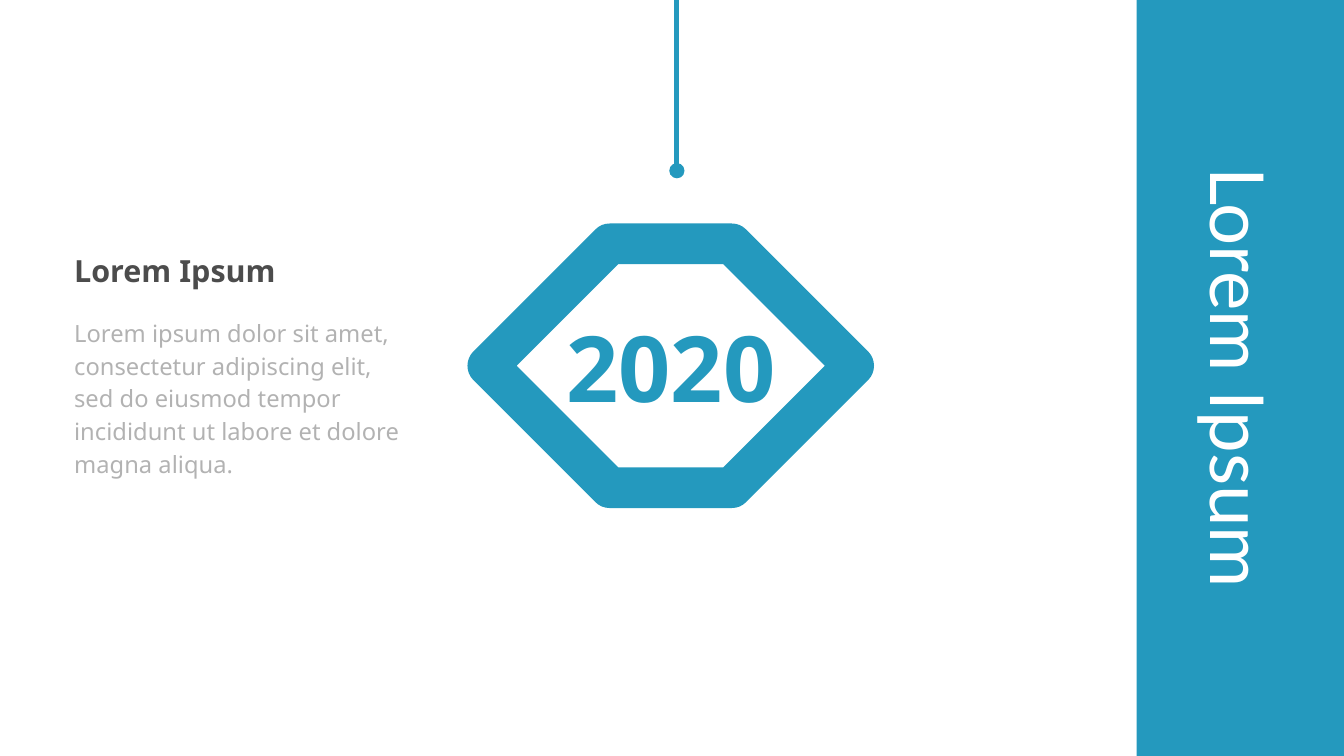
from lxml import etree
from pptx import Presentation
from pptx import util as u
from pptx.dml.color import RGBColor
from pptx.enum import shapes, text
from pptx.oxml import ns

TEAL = RGBColor(0x24, 0x99, 0xBE)
DARK = RGBColor(0x4C, 0x4C, 0x4C)
BLACK = RGBColor(0, 0, 0)
WHITE = RGBColor(0xFF, 0xFF, 0xFF)

deck = Presentation()
deck.slide_width, deck.slide_height = u.Inches(11.02), u.Inches(6.2)
W, H = deck.slide_width, deck.slide_height
slide = deck.slides.add_slide(deck.slide_layouts[5])
middle = H / u.Inches(1) / 2


def write(frame, words, size, color, font="Noto Sans", bold=False,
          align=text.PP_ALIGN.LEFT, anchor=text.MSO_ANCHOR.MIDDLE, wrap=True):
    """Fill a text frame with one formatted paragraph and return it."""
    frame.text = words
    frame.word_wrap = wrap
    frame.auto_size = text.MSO_AUTO_SIZE.NONE
    frame.vertical_anchor = anchor
    paragraph = frame.paragraphs[0]
    paragraph.alignment = align
    paragraph.font.name, paragraph.font.size = font, u.Pt(size)
    paragraph.font.bold = bold
    paragraph.font.color.rgb = color
    return paragraph


# Side panel with the title turned along it
panel_left = u.Inches(9.32)
panel = slide.shapes.add_shape(shapes.MSO_SHAPE.RECTANGLE, panel_left, 0, W - panel_left, H)
panel.shadow.inherit = False
panel.fill.solid()
panel.fill.fore_color.rgb = TEAL
panel.line.fill.background()

title = slide.shapes.title
title._element.addprevious(panel._element)
title.width, title.height = H, u.Inches(1.03)
title.left = int((panel_left + W - title.width) / 2)
title.top = int((H - title.height) / 2)
title.rotation = 90
title_frame = title.text_frame
title_frame.margin_left = title_frame.margin_right = 0
title_frame.margin_top = title_frame.margin_bottom = 0
write(title_frame, "Lorem Ipsum", 44, WHITE, font="Lato", align=text.PP_ALIGN.CENTER)

# Hexagon around the year
center, half_width, half_side, half_height = 5.55, 1.58, 0.8, 1.39
corners = [(-half_side, -half_height), (half_side, -half_height), (half_width, 0),
           (half_side, half_height), (-half_side, half_height), (-half_width, 0)]
points = [(center + x, middle + y) for x, y in corners]
outline = slide.shapes.build_freeform(*points[0], scale=u.Inches(1))
outline.add_line_segments(points[1:], close=True)
hexagon = outline.convert_to_shape()
hexagon.shadow.inherit = False
hexagon.fill.background()
hexagon.line.color.rgb = TEAL
hexagon.line.width = u.Pt(24)
etree.SubElement(hexagon.line._get_or_add_ln(), ns.qn("a:round"))
write(hexagon.text_frame, "2020", 54, TEAL, bold=True,
      align=text.PP_ALIGN.CENTER, wrap=False)

# Heading and description
text_left, text_width = u.Inches(0.51), u.Inches(3)
heading = slide.shapes.add_textbox(text_left, u.Inches(1.97), text_width, u.Inches(0.5))
write(heading.text_frame, "Lorem Ipsum", 18, DARK, bold=True)

description = slide.shapes.add_textbox(text_left, u.Inches(2.53), text_width, u.Inches(1.7))
body = write(description.text_frame,
             "Lorem ipsum dolor sit amet, consectetur adipiscing elit, sed do eiusmod "
             "tempor incididunt ut labore et dolore magna aliqua.",
             14, BLACK, anchor=text.MSO_ANCHOR.TOP)
body.line_spacing = 1.15
body_color = next(body._p.iter(ns.qn("a:srgbClr")))
etree.SubElement(body_color, ns.qn("a:alpha"), val="30000")

# Cord from the top edge, with a dot above the hexagon
cord = slide.shapes.add_connector(shapes.MSO_CONNECTOR.STRAIGHT,
                                  u.Inches(center), u.Inches(1.4), u.Inches(center), 0)
cord.line.color.rgb = TEAL
cord.line.width = u.Pt(3)
etree.SubElement(cord.line._get_or_add_ln(), ns.qn("a:headEnd"), type="oval")
etree.SubElement(cord._element.spPr, ns.qn("a:effectLst"))

deck.save("out.pptx")
